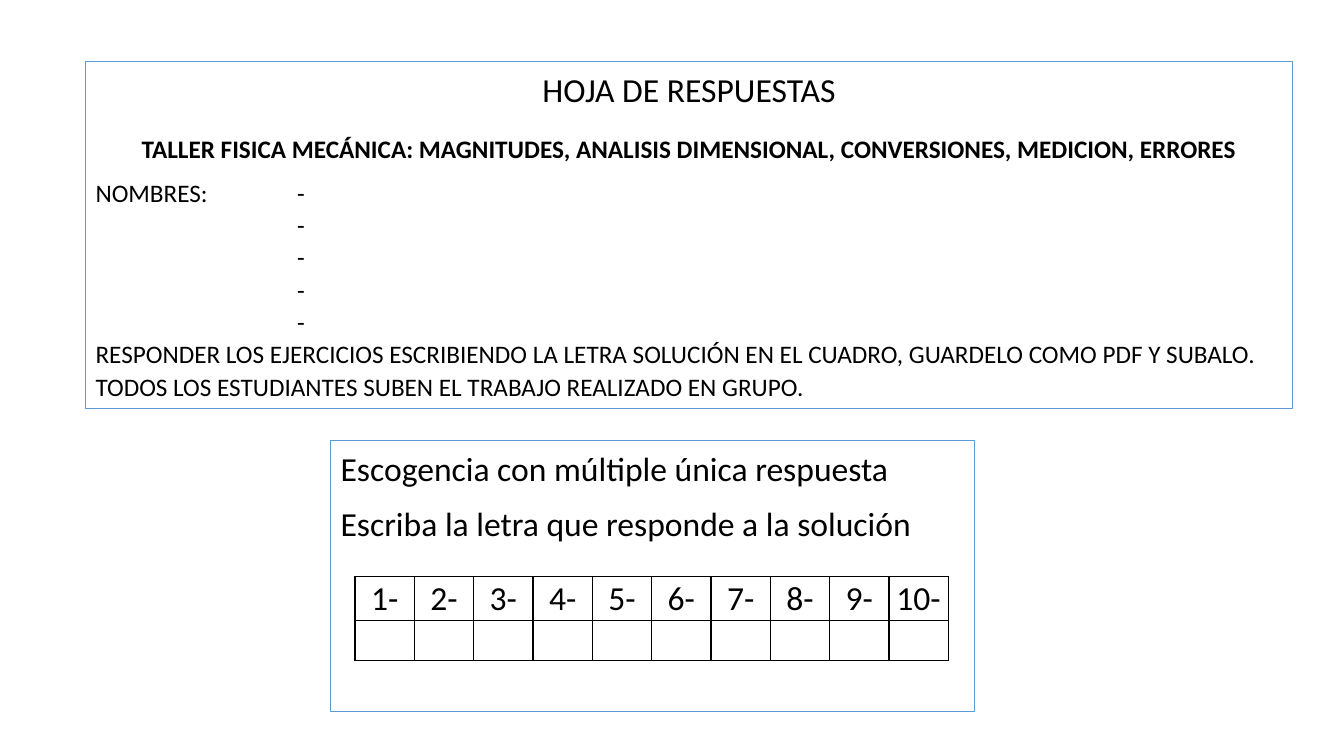
from pptx import Presentation
from pptx.dml.color import RGBColor
from pptx.enum.shapes import MSO_SHAPE
from pptx.enum.text import MSO_ANCHOR, PP_ALIGN
from pptx.oxml.ns import qn
from pptx.util import Pt
from lxml.etree import SubElement

BLACK = RGBColor(0, 0, 0)
FRAME_BLUE = RGBColor(0x5B, 0x9B, 0xD5)
FONT = "Calibri"
LINE_SPACING = 1.07
NAME_TAB = 144

LEFT, CENTER = PP_ALIGN.LEFT, PP_ALIGN.CENTER

HEADER = [
    ("HOJA DE RESPUESTAS", 24, False, CENTER, 15.6),
    ("TALLER FISICA MECÁNICA: MAGNITUDES, ANALISIS DIMENSIONAL, CONVERSIONES, MEDICION, ERRORES",
     18, True, CENTER, 8),
    *[(label + "\t-", 18, False, LEFT, 0) for label in ("NOMBRES:", "", "", "", "")],
    ("RESPONDER LOS EJERCICIOS ESCRIBIENDO LA LETRA SOLUCIÓN EN EL CUADRO, GUARDELO COMO PDF Y SUBALO.",
     18, False, LEFT, 0),
    ("TODOS LOS ESTUDIANTES SUBEN EL TRABAJO REALIZADO EN GRUPO.", 18, False, LEFT, 0),
]
INSTRUCTIONS = [
    ("Escogencia con múltiple única respuesta", 24, False, LEFT, 8),
    ("Escriba la letra que responde a la solución", 24, False, LEFT, 8),
]
FRAMES = [
    ((61.2, 43.9, 861.9, 247.9), HEADER),
    ((236.2, 314.6, 460, 193.7), INSTRUCTIONS),
]
QUESTIONS = [f"{number}-" for number in range(1, 11)]
ANSWERS_LEFT, ANSWERS_TOP = 253.6, 411.6
ANSWER_WIDTH = 42.4
ROW_HEIGHTS = (30.7, 28.8)


def write(paragraph, text, size, bold, align, after):
    paragraph.alignment = align
    paragraph.line_spacing = LINE_SPACING
    paragraph.space_before = Pt(0)
    paragraph.space_after = Pt(after)
    if "\t" in text:
        tabs = SubElement(paragraph._p.get_or_add_pPr(), qn("a:tabLst"))
        SubElement(tabs, qn("a:tab"), pos=str(Pt(NAME_TAB)), algn="l")
    run = paragraph.add_run()
    run.text = text
    run.font.name = FONT
    run.font.size = Pt(size)
    run.font.bold = bold
    run.font.color.rgb = BLACK


def add_frame(slide, place, lines):
    frame = slide.shapes.add_shape(MSO_SHAPE.RECTANGLE, *map(Pt, place))
    frame.shadow.inherit = False
    frame.fill.background()
    frame.line.color.rgb = FRAME_BLUE
    frame.line.width = Pt(0.75)
    body = frame.text_frame
    body.word_wrap = True
    body.vertical_anchor = MSO_ANCHOR.TOP
    for index, line in enumerate(lines):
        paragraph = body.add_paragraph() if index else body.paragraphs[0]
        write(paragraph, *line)


def add_borders(cell):
    properties = cell._tc.get_or_add_tcPr()
    for index, side in enumerate(("lnL", "lnR", "lnT", "lnB")):
        border = properties.makeelement(qn(f"a:{side}"), {"w": str(Pt(1))})
        fill = SubElement(border, qn("a:solidFill"))
        SubElement(fill, qn("a:srgbClr"), val=str(BLACK))
        properties.insert(index, border)


def add_answers(slide):
    answers = slide.shapes.add_table(
        len(ROW_HEIGHTS), len(QUESTIONS), Pt(ANSWERS_LEFT), Pt(ANSWERS_TOP),
        Pt(ANSWER_WIDTH * len(QUESTIONS)), Pt(sum(ROW_HEIGHTS))).table
    answers.first_row = answers.horz_banding = False
    for row, height in zip(answers.rows, ROW_HEIGHTS):
        row.height = Pt(height)
    for column in answers.columns:
        column.width = Pt(ANSWER_WIDTH)
    for cell in answers.iter_cells():
        cell.margin_left = cell.margin_right = Pt(5)
        cell.margin_top = cell.margin_bottom = 0
        cell.fill.background()
        add_borders(cell)
    for index, question in enumerate(QUESTIONS):
        write(answers.cell(0, index).text_frame.paragraphs[0], question, 24, False, CENTER, 0)


presentation = Presentation()
presentation.slide_width, presentation.slide_height = Pt(960), Pt(540)
slide = presentation.slides.add_slide(presentation.slide_layouts[6])
for place, lines in FRAMES:
    add_frame(slide, place, lines)
add_answers(slide)
presentation.save("out.pptx")
